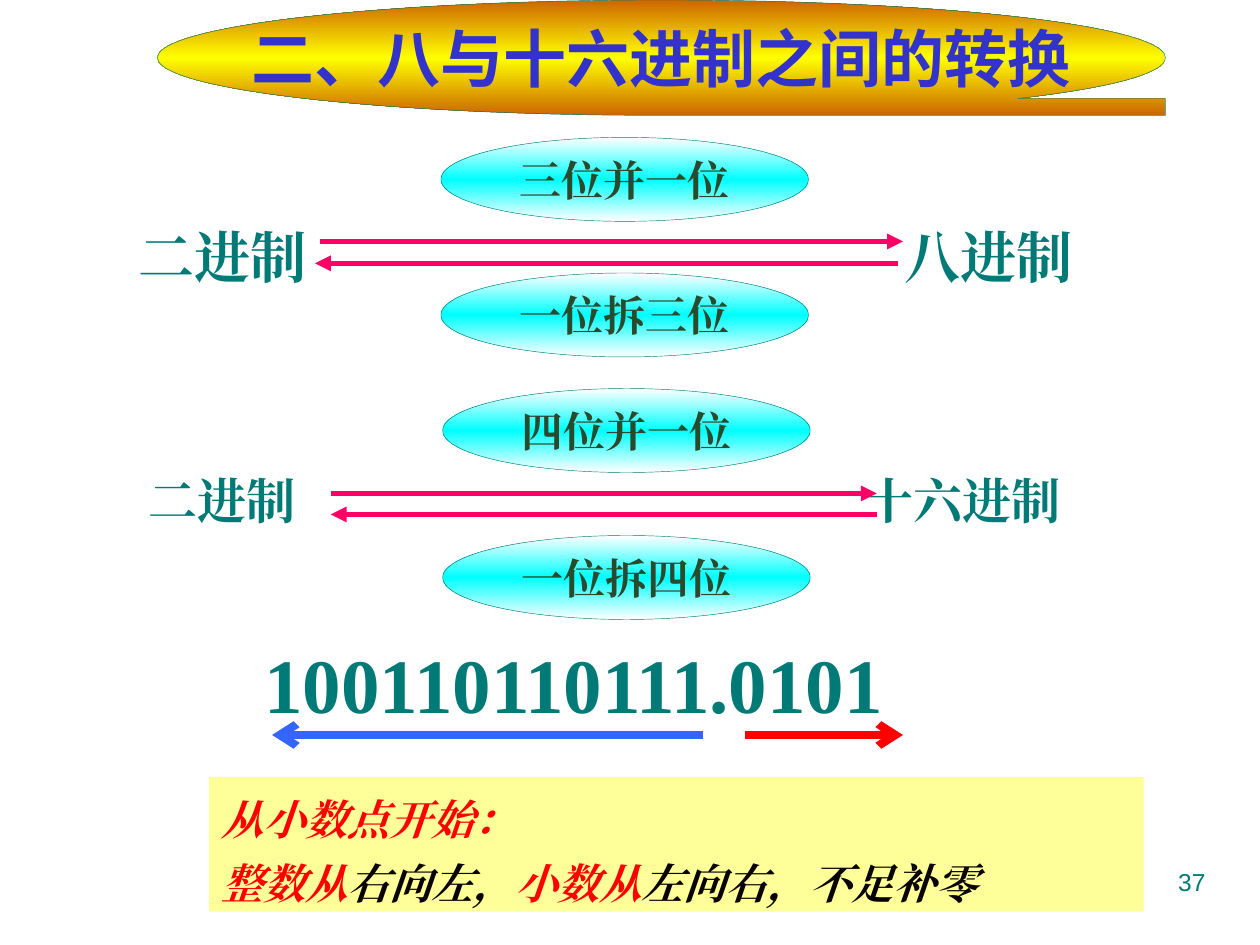
from copy import deepcopy

from lxml.etree import SubElement
from pptx import Presentation
from pptx.dml.color import RGBColor
from pptx.enum.shapes import MSO_CONNECTOR, MSO_SHAPE
from pptx.enum.text import MSO_ANCHOR, PP_ALIGN
from pptx.oxml.ns import qn
from pptx.util import Pt

SERIF, SANS, CHINESE = "Times New Roman", "Arial", "Noto Sans CJK SC"
TEAL, RED, BLACK, PINK = "007A77", "FF0000", "080300", "FF0066"


def color(value):
    return RGBColor.from_string(value)


class SlideBuilder:
    def __init__(self, slide):
        self.slide = slide
        self.shapes = slide.shapes

    def start_group(self):
        """Send the following elements to a new group."""
        self.shapes = self.slide.shapes.add_group_shape().shapes

    def end_group(self):
        self.shapes = self.slide.shapes

    def shape(self, kind, left, top, width, height, fill, line=None):
        """Add a preset shape; a list of colours gives a vertical gradient."""
        shape = self.shapes.add_shape(kind, Pt(left), Pt(top), Pt(width), Pt(height))
        shape.shadow.inherit = False
        if isinstance(fill, list):
            self.gradient(shape, fill)
        else:
            shape.fill.solid()
            shape.fill.fore_color.rgb = color(fill)
        if line:
            shape.line.color.rgb = color(line)
            shape.line.width = Pt(0.25)
        else:
            shape.line.fill.background()
        return shape

    def gradient(self, shape, colors):
        shape.fill.gradient()
        shape.fill.gradient_angle = 90
        stop_list = next(shape._element.iter(qn("a:gsLst")))
        while len(stop_list) < len(colors):
            stop_list.append(deepcopy(stop_list[0]))
        for index, (stop, value) in enumerate(zip(shape.fill.gradient_stops, colors)):
            stop.position = index / (len(colors) - 1)
            stop.color.rgb = color(value)

    def text_box(self, left, top, width, height):
        return self.shapes.add_textbox(Pt(left), Pt(top), Pt(width), Pt(height))

    def add_text(self, shape, lines, size, font=SERIF, bold=True, italic=False, wrap=True,
                 align=PP_ALIGN.LEFT, anchor=MSO_ANCHOR.MIDDLE, spacing=None, tab=None):
        """Fill a shape with lines, each a list of (text, colour) runs."""
        frame = shape.text_frame
        frame.word_wrap = wrap
        frame.vertical_anchor = anchor
        if spacing:
            frame.margin_top = Pt(3.6 + size * 0.2)
        for index, runs in enumerate(lines):
            paragraph = frame.add_paragraph() if index else frame.paragraphs[0]
            paragraph.alignment = align
            if spacing:
                paragraph.line_spacing = spacing
            if index:
                paragraph.space_before = Pt(size * 0.2)
            if tab:
                tab_list = SubElement(paragraph._p.get_or_add_pPr(), qn("a:tabLst"))
                SubElement(tab_list, qn("a:tab"), pos=str(Pt(tab)), algn="l")
            for text, value in runs:
                run = paragraph.add_run()
                run.text = text
                run.font.size = Pt(size)
                run.font.bold = bold
                run.font.italic = italic
                run.font.name = font
                run.font.color.rgb = color(value)
                SubElement(run._r.get_or_add_rPr(), qn("a:ea"), typeface=font)

    def arrow(self, start, end, y, value, width=3, head="triangle"):
        connector = self.shapes.add_connector(
            MSO_CONNECTOR.STRAIGHT, Pt(start), Pt(y), Pt(end), Pt(y))
        connector.line.color.rgb = color(value)
        connector.line.width = Pt(width)
        properties = connector._element.spPr
        SubElement(properties.find(qn("a:ln")), qn("a:tailEnd"), type=head)
        SubElement(properties, qn("a:effectLst"))

    def rule(self, left, top, text):
        ellipse = self.shape(MSO_SHAPE.OVAL, left, top, 210, 48,
                             ["FFFFFF", "00FFFF", "FFFFFF"], TEAL)
        self.add_text(ellipse, [[(text, "2A4A2E")]], 24, wrap=False, align=PP_ALIGN.CENTER)

    def conversion(self, labels, box, size, tab, arrows, rules):
        """Add two number systems with arrows both ways and a rule for each way."""
        self.start_group()
        self.add_text(self.text_box(*box), [[("\t".join(labels), TEAL)]], size,
                      spacing=1.1, tab=tab)
        for arrow in arrows:
            self.arrow(*arrow, PINK)
        for rule in rules:
            self.rule(*rule)
        self.end_group()


def main():
    presentation = Presentation()
    presentation.slide_width, presentation.slide_height = Pt(720), Pt(540)
    builder = SlideBuilder(presentation.slides.add_slide(presentation.slide_layouts[6]))

    title = builder.shape(MSO_SHAPE.FLOWCHART_SEQUENTIAL_ACCESS_STORAGE, 90, 0, 576, 66,
                          ["CC6600", "FFFF00", "CC6600"], TEAL)
    builder.add_text(title, [[("二、八与十六进制之间的转换", "3333CC")]], 36, CHINESE,
                     wrap=False, align=PP_ALIGN.CENTER)

    note = builder.shape(MSO_SHAPE.RECTANGLE, 119.5, 444, 534, 77, "FFFF99")
    builder.add_text(note, [
        [("从小数点开始：", RED)],
        [("整数从", RED), ("右向左，", BLACK), ("小数从", RED), ("左向右，不足补零", BLACK)],
    ], 24, italic=True, spacing=1.1)

    builder.conversion(("二进制", "八进制"), (72, 114, 600, 54), 32, 438,
                       [(183, 516, 138), (513, 180, 150.5)],
                       [(252, 78.5, "三位并一位"), (252, 156, "一位拆三位")])
    builder.conversion(("二进制", "十六进制"), (78, 259, 575, 44), 28, 409,
                       [(189, 501, 282), (501, 189, 294)],
                       [(253, 222, "四位并一位"), (253, 306, "一位拆四位")])

    builder.add_text(builder.text_box(516, 492, 180, 37), [[("37", TEAL)]], 14, SANS,
                     bold=False, align=PP_ALIGN.RIGHT, anchor=MSO_ANCHOR.TOP)
    builder.add_text(builder.text_box(144, 360, 450, 60), [[("100110110111.0101", TEAL)]], 44,
                     anchor=MSO_ANCHOR.TOP)
    builder.arrow(402, 155.5, 420, "3366FF", 4.5, "arrow")
    builder.arrow(426, 516, 420, RED, 4.5, "arrow")

    presentation.save("out.pptx")


if __name__ == "__main__":
    main()
